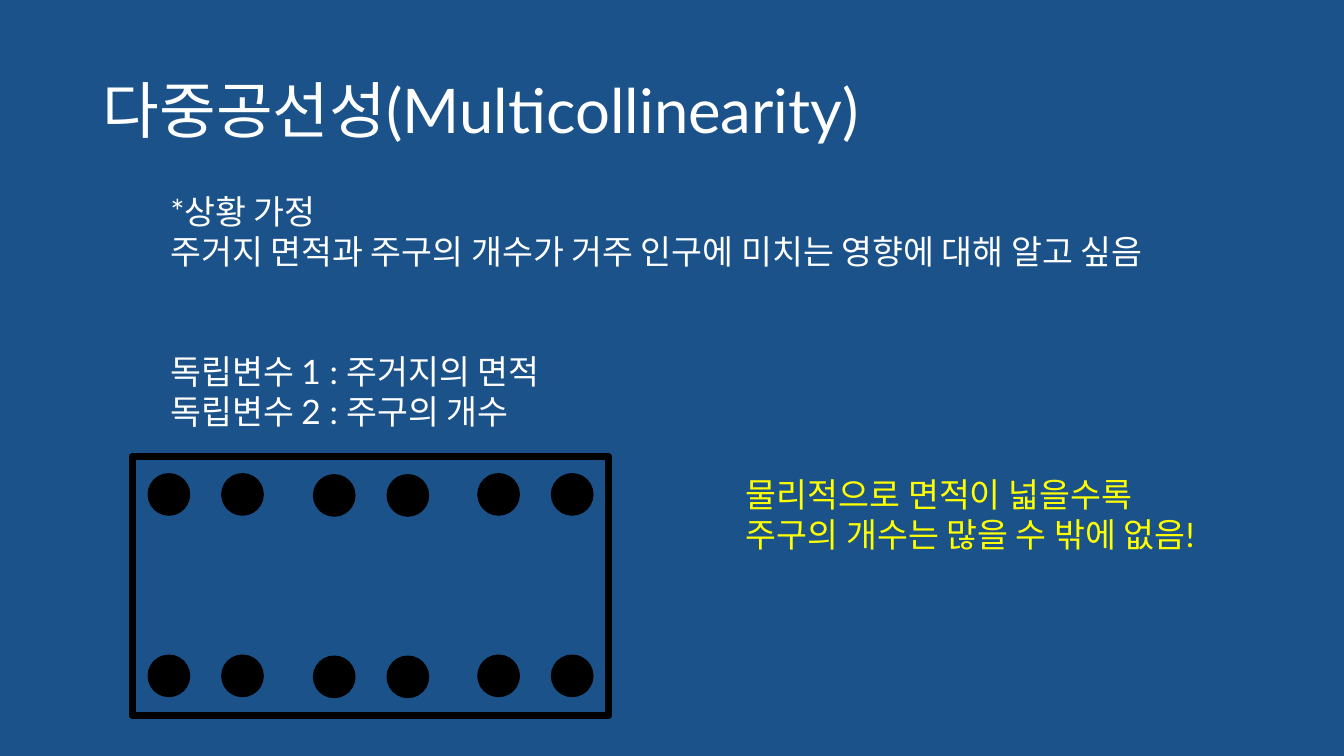
import pptx
import pptx.util
import pptx.dml.color
import pptx.enum.shapes
import pptx.enum.text

Inches = pptx.util.Inches
Pt = pptx.util.Pt
RGBColor = pptx.dml.color.RGBColor
Shape = pptx.enum.shapes.MSO_SHAPE
Anchor = pptx.enum.text.MSO_ANCHOR

BLUE = RGBColor(0x1A, 0x52, 0x89)
WHITE = RGBColor(0xFF, 0xFF, 0xFF)
BLACK = RGBColor(0x00, 0x00, 0x00)
YELLOW = RGBColor(0xFF, 0xFF, 0x00)
FONT = "Lato"


def add_text(slide, area, lines, color=WHITE, size=24, anchor=Anchor.TOP, space=1.0):
    box = slide.shapes.add_textbox(*map(Inches, area))
    frame = box.text_frame
    frame.word_wrap = True
    frame.vertical_anchor = anchor
    for index, line in enumerate(lines):
        para = frame.paragraphs[0] if index == 0 else frame.add_paragraph()
        para.line_spacing = space
        run = para.add_run()
        run.text = line
        run.font.name = FONT
        run.font.size = Pt(size)
        run.font.color.rgb = color


def add_black(slide, kind, area, width, solid):
    shape = slide.shapes.add_shape(kind, *map(Inches, area))
    shape.shadow.inherit = False
    shape.line.color.rgb = BLACK
    shape.line.width = Pt(width)
    if solid:
        shape.fill.solid()
        shape.fill.fore_color.rgb = BLACK
    else:
        shape.fill.background()


def add_dots(slide, left, top):
    size, step, drop = 0.41, 0.73, 1.8
    for col in range(2):
        for row in range(2):
            area = (left + col * step, top + row * drop, size, size)
            add_black(slide, Shape.OVAL, area, 1, True)


def main():
    deck = pptx.Presentation()
    deck.slide_width = Inches(13.33)
    deck.slide_height = Inches(7.5)
    slide = deck.slides.add_slide(deck.slide_layouts[6])
    slide.background.fill.solid()
    slide.background.fill.fore_color.rgb = BLUE

    add_text(slide, (0.92, 0.4, 11.5, 1.45), ["다중공선성(Multicollinearity)"],
             size=44, anchor=Anchor.MIDDLE, space=0.9)
    add_black(slide, Shape.RECTANGLE, (1.31, 4.53, 4.73, 2.57), 5, False)
    for left, top in ((1.47, 4.7), (4.74, 4.7), (3.11, 4.71)):
        add_dots(slide, left, top)
    add_text(slide, (1.59, 3.43, 4.58, 0.91),
             ["독립변수 1 : 주거지의 면적", "독립변수 2 : 주구의 개수"])
    add_text(slide, (1.59, 1.84, 10.22, 0.91),
             ["*상황 가정", "주거지 면적과 주구의 개수가 거주 인구에 미치는 영향에 대해 알고 싶음"])
    add_text(slide, (7.3, 4.65, 4.58, 0.91),
             ["물리적으로 면적이 넓을수록 주구의 개수는 많을 수 밖에 없음!"], YELLOW)
    deck.save("out.pptx")


if __name__ == "__main__":
    main()
